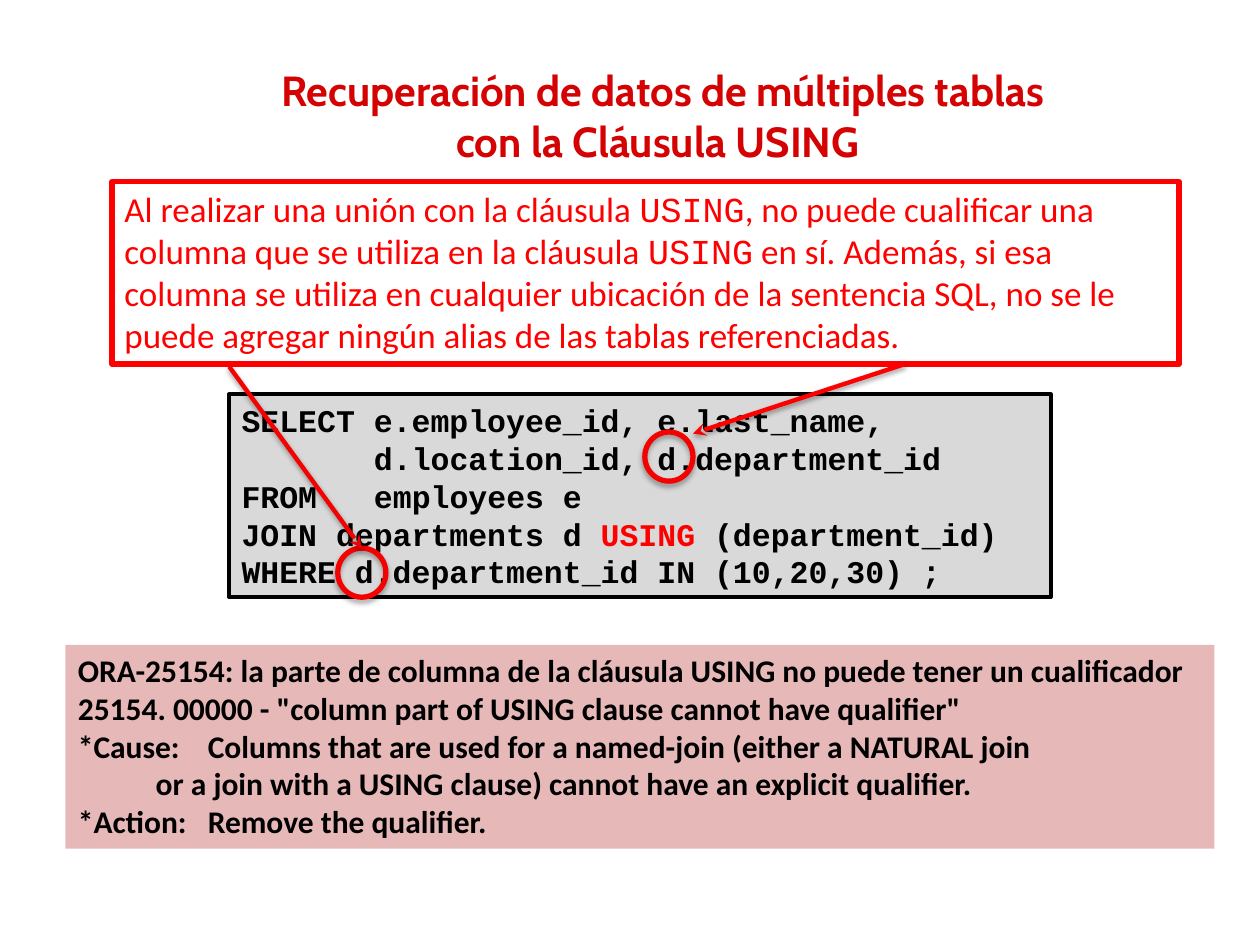
from pptx import Presentation
from pptx.dml.color import RGBColor
from pptx.enum.shapes import MSO_CONNECTOR, MSO_SHAPE
from pptx.enum.text import MSO_ANCHOR, PP_ALIGN
from pptx.oxml.ns import qn
from pptx.util import Cm, Pt
from lxml import etree

RECTANGLE, OVAL = MSO_SHAPE.RECTANGLE, MSO_SHAPE.OVAL
STRAIGHT = MSO_CONNECTOR.STRAIGHT
TOP, MIDDLE = MSO_ANCHOR.TOP, MSO_ANCHOR.MIDDLE
LEFT, CENTER = PP_ALIGN.LEFT, PP_ALIGN.CENTER

COLORS = {
    "title": "D40202", "red": "FF0000", "ring": "F40202",
    "black": "000000", "code": "D9D9D9", "error": "E6B9B8",
}
TITLE_FONT, BODY_FONT, CODE_FONT = "Cabin", "Calibri", "Courier New"
KEYWORD = "USING"


def color(name):
    return RGBColor.from_string(COLORS[name])


class SlideBuilder:
    def __init__(self, slide):
        self.slide = slide

    def format_run(self, run, size, font, color_name, bold):
        run.font.size = Pt(size)
        run.font.name = font
        run.font.bold = bold
        run.font.color.rgb = color(color_name)

    def box(self, place, fill=None, line=None, width=0, kind=RECTANGLE):
        shape = self.slide.shapes.add_shape(kind, *map(Cm, place))
        shape.shadow.inherit = False
        if fill:
            shape.fill.solid()
            shape.fill.fore_color.rgb = color(fill)
        else:
            shape.fill.background()
        if line:
            shape.line.color.rgb = color(line)
            shape.line.width = Pt(width)
        else:
            shape.line.fill.background()
        return shape

    def add_text(self, shape, lines, size, font, color_name, bold=True,
                 anchor=TOP, align=LEFT, keyword=None):
        """Fill a shape with lines; keyword is the (font, color) of each KEYWORD."""
        frame = shape.text_frame
        frame.word_wrap = True
        frame.vertical_anchor = anchor
        frame.text = "\n".join(lines)
        for paragraph, line in zip(frame.paragraphs, lines):
            paragraph.alignment = align
            if keyword and KEYWORD in line:
                before, *others = line.split(KEYWORD)
                paragraph.text = before
                for text in others:
                    paragraph.add_run().text = KEYWORD
                    paragraph.add_run().text = text
            for run in paragraph.runs:
                special = keyword and run.text == KEYWORD
                run_font, run_color = keyword if special else (font, color_name)
                self.format_run(run, size, run_font, run_color, bold)

    def indent(self, paragraph, left):
        paragraph._p.get_or_add_pPr().set("marL", str(Cm(left)))

    def tab_stop(self, paragraph, position):
        properties = paragraph._p.get_or_add_pPr()
        tabs = etree.SubElement(properties, qn("a:tabLst"))
        etree.SubElement(tabs, qn("a:tab"), pos=str(Cm(position)), algn="l")

    def shadow(self, effects, distance, opacity):
        outer = etree.SubElement(
            effects, qn("a:outerShdw"), blurRad=str(Pt(3.1)),
            dist=str(Pt(distance)), dir="5400000", rotWithShape="0")
        shade = etree.SubElement(outer, qn("a:srgbClr"), val=COLORS["black"])
        etree.SubElement(shade, qn("a:alpha"), val=str(opacity * 1000))

    def ring(self, left, top):
        shape = self.box((left, top, 0.97, 0.99), line="ring", width=3, kind=OVAL)
        self.shadow(shape.element.spPr.find(qn("a:effectLst")), 1.8, 35)

    def arrow(self, start, end, color_name):
        connector = self.slide.shapes.add_connector(
            STRAIGHT, *map(Cm, start + end))
        connector.line.color.rgb = color(color_name)
        connector.line.width = Pt(2.5)
        properties = connector.element.spPr
        etree.SubElement(properties.find(qn("a:ln")), qn("a:tailEnd"), type="stealth")
        self.shadow(etree.SubElement(properties, qn("a:effectLst")), 1.6, 38)


def main():
    presentation = Presentation()
    presentation.slide_width, presentation.slide_height = Cm(25.4), Cm(19.05)
    slide = presentation.slides.add_slide(presentation.slide_layouts[6])
    builder = SlideBuilder(slide)

    # Title
    title = slide.shapes.add_textbox(Cm(4.9), Cm(1.04), Cm(16.92), Cm(2.57))
    builder.add_text(
        title,
        ["Recuperación de datos de múltiples tablas con la Cláusula USING "],
        24, TITLE_FONT, "title", anchor=MIDDLE, align=CENTER)

    # SQL statement, with its columns aligned after seven characters
    code = builder.box((4.62, 7.95, 16.56, 4.09), "code", "black", 2.25)
    builder.add_text(code, [
        "SELECT e.employee_id, e.last_name,",
        "d.location_id, d.department_id",
        "FROM\temployees e",
        "JOIN departments d USING (department_id)",
        "WHERE d.department_id IN (10,20,30) ;",
    ], 18, CODE_FONT, "black", anchor=MIDDLE, keyword=(CODE_FONT, "red"))
    code_column = 2.67
    builder.indent(code.text_frame.paragraphs[1], code_column)
    builder.tab_stop(code.text_frame.paragraphs[2], code_column)

    # Error message
    error = builder.box((1.32, 13, 23.16, 4.11), "error")
    builder.add_text(error, [
        "ORA-25154: la parte de columna de la cláusula USING no puede tener un cualificador",
        '25154. 00000 - "column part of USING clause cannot have qualifier"',
        "*Cause:\tColumns that are used for a named-join (either a NATURAL join",
        "or a join with a USING clause) cannot have an explicit qualifier.",
        "*Action:\tRemove the qualifier.",
    ], 18, BODY_FONT, "black")
    error_lines = error.text_frame.paragraphs
    for index in (2, 4):
        builder.tab_stop(error_lines[index], 2.62)
    builder.indent(error_lines[3], 1.57)

    # Rings around the wrong qualifiers
    builder.ring(13, 8.71)
    builder.ring(6.81, 11.05)

    # Explanation and its arrows
    note = builder.box((2.26, 3.66, 21.51, 3.68), line="red", width=3)
    builder.add_text(note, [
        "Al realizar una unión con la cláusula USING, no puede cualificar una "
        "columna que se utiliza en la cláusula USING en sí. Además, si esa "
        "columna se utiliza en cualquier ubicación de la sentencia SQL, no se "
        "le puede agregar ningún alias de las tablas referenciadas.",
    ], 20, BODY_FONT, "red", bold=False, keyword=(CODE_FONT, "red"))
    builder.arrow((18.24, 7.34), (13.97, 8.74), "red")
    builder.arrow((4.62, 7.39), (7.29, 11.05), "ring")

    presentation.save("out.pptx")


if __name__ == "__main__":
    main()
